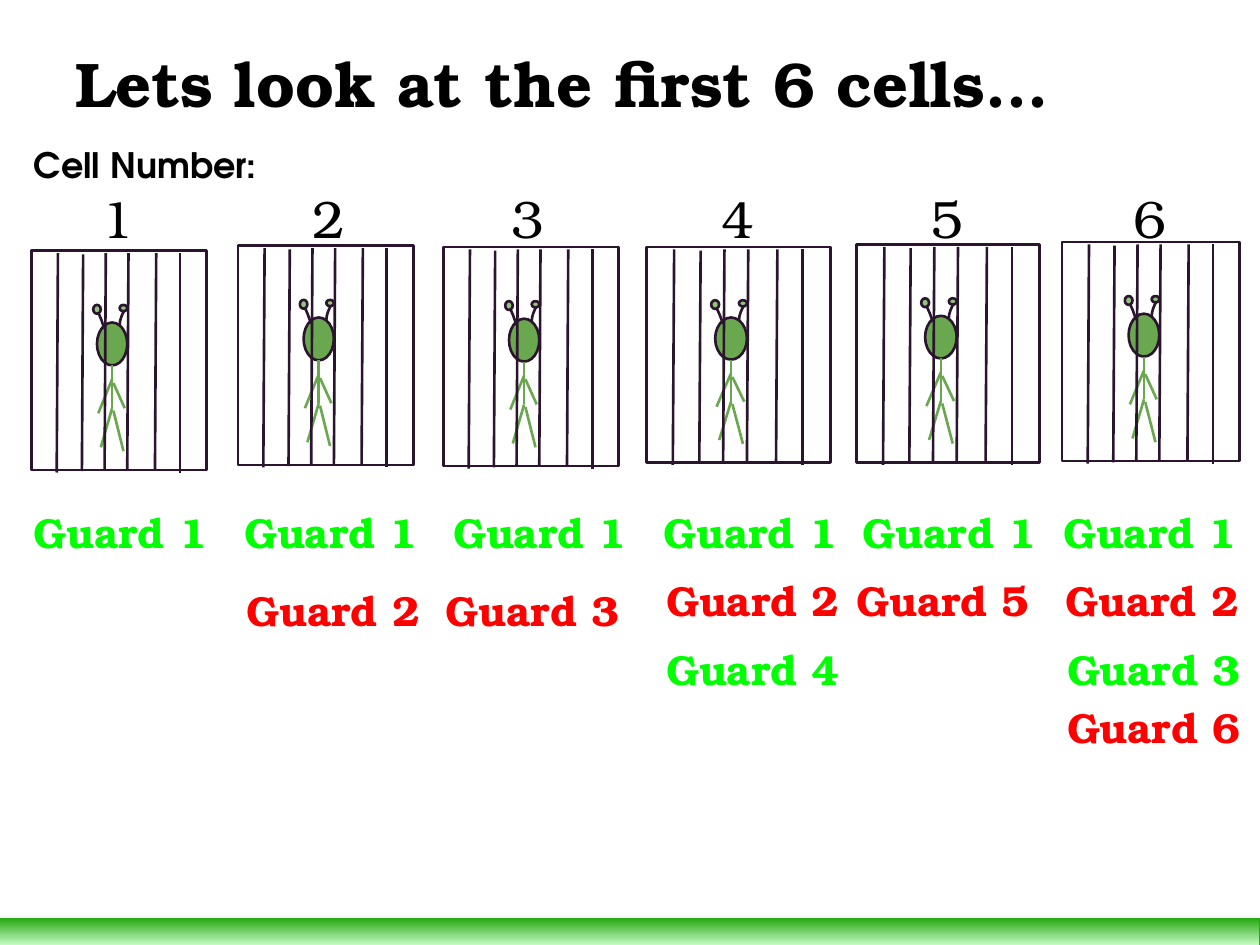
from lxml import etree
from pptx import Presentation
from pptx.dml.color import RGBColor
from pptx.enum.shapes import MSO_CONNECTOR as Connector, MSO_SHAPE as Shape
from pptx.enum.text import MSO_ANCHOR as Anchor, MSO_AUTO_SIZE as AutoSize, PP_ALIGN as Align
from pptx.oxml.ns import qn
from pptx.util import Inches, Pt

THEME = {
    "serif": "TeX Gyre Bonum",
    "sans": "TeX Gyre Adventor",
    "title": Pt(36),
    "number": Pt(30),
    "guard": Pt(24),
    "label": Pt(20),
    "black": RGBColor.from_string("000000"),
    "white": RGBColor.from_string("FFFFFF"),
    "ink": RGBColor.from_string("2B142D"),
    "skin": RGBColor.from_string("6AA84F"),
    "eye": RGBColor.from_string("93C47D"),
    "open": RGBColor.from_string("00FF00"),
    "shut": RGBColor.from_string("FF0000"),
    "footer": RGBColor.from_string("29A815"),
    "footer_light": RGBColor.from_string("CCFFCC"),
}

BASE_WIDTH, BASE_HEIGHT = 1.39, 1.74
CELLS = [
    (0.25, 1.99, 1.39, 1.74), (1.89, 1.95, 1.39, 1.74), (3.52, 1.96, 1.39, 1.74),
    (5.13, 1.96, 1.46, 1.71), (6.8, 1.94, 1.45, 1.73), (8.43, 1.92, 1.41, 1.74),
]
HEAD = (0.52, 0.57, 0.24, 0.34)
LIMBS = [
    (0.64, 0.91, 0.64, 1.25), (0.64, 1.25, 0.55, 1.56), (0.65, 1.27, 0.73, 1.59),
    (0.74, 1.25, 0.65, 1.05), (0.64, 1.02, 0.53, 1.29),
]
BARS = [
    (1.18, 0.02, 1.18, 1.76), (0.99, 0.02, 0.98, 1.74), (0.77, 0.02, 0.76, 1.74),
    (0.59, 0.02, 0.58, 1.74), (0.41, 0.03, 0.4, 1.75), (0.21, 0.02, 0.2, 1.76),
]
STALKS = [
    [(0.58, 0.62), (0.56, 0.57), (0.55, 0.52), (0.52, 0.48)],
    [(0.53, 0.45), (0.53, 0.45), (0.52, 0.47), (0.52, 0.47)],
    [(0.7, 0.59), (0.7, 0.55), (0.72, 0.5), (0.74, 0.47)],
]
EYES = [(0.49, 0.43, 0.06, 0.07), (0.7, 0.43, 0.06, 0.05)]

NUMBER_LEFTS = [0.71, 2.38, 3.96, 5.63, 7.29, 8.9]
GUARDS = [
    [(1, 0.17, 3.92)],
    [(1, 1.84, 3.92), (2, 1.86, 4.54)],
    [(1, 3.5, 3.92), (3, 3.44, 4.54)],
    [(1, 5.17, 3.92), (2, 5.19, 4.46), (4, 5.19, 5.01)],
    [(1, 6.75, 3.92), (5, 6.7, 4.46)],
    [(1, 8.34, 3.92), (2, 8.36, 4.46), (3, 8.37, 5.01), (6, 8.37, 5.47)],
]


def paint(shape, fill, line, width=1.5):
    shape.shadow.inherit = False
    if fill is None:
        shape.fill.background()
    else:
        shape.fill.solid()
        shape.fill.fore_color.rgb = fill
    shape.line.color.rgb = line
    shape.line.width = Pt(width)


def write(shape, text, size, color, bold=False, face="serif", anchor=Anchor.TOP):
    frame = shape.text_frame
    margins = {f"margin_{side}": Inches(0.1) for side in ("left", "top", "right", "bottom")}
    settings = {"word_wrap": True, "auto_size": AutoSize.NONE, "vertical_anchor": anchor, **margins}
    for name, value in settings.items():
        setattr(frame, name, value)
    paragraph = frame.paragraphs[0]
    paragraph.alignment = Align.LEFT
    run = paragraph.add_run()
    run.text = text
    for name, value in {"name": THEME[face], "size": THEME[size], "bold": bold}.items():
        setattr(run.font, name, value)
    run.font.color.rgb = THEME[color]


presentation = Presentation()
presentation.slide_width = Inches(10)
presentation.slide_height = Inches(7.5)
slide = presentation.slides.add_slide(presentation.slide_layouts[5])
shapes = slide.shapes

title = shapes.title
for name, value in {"left": 0.5, "top": -0.2, "width": 9, "height": 1.25}.items():
    setattr(title, name, Inches(value))
write(title, "Lets look at the first 6 cells...", "title", "black", True, anchor=Anchor.BOTTOM)

for left, top, width, height in CELLS:
    scale_x, scale_y = width / BASE_WIDTH, height / BASE_HEIGHT

    wall = shapes.add_shape(Shape.RECTANGLE, *map(Inches, (left, top, width, height)))
    paint(wall, THEME["white"], THEME["ink"])

    ovals = []
    for x, y, oval_width, oval_height in [HEAD, *EYES]:
        box = (left + x * scale_x, top + y * scale_y, oval_width * scale_x, oval_height * scale_y)
        ovals.append([Inches(value) for value in box])
    head = shapes.add_shape(Shape.OVAL, *ovals[0])
    paint(head, THEME["skin"], THEME["ink"])

    for strokes, color in ((LIMBS, "skin"), (BARS, "ink")):
        for x1, y1, x2, y2 in strokes:
            ends = (left + x1 * scale_x, top + y1 * scale_y, left + x2 * scale_x, top + y2 * scale_y)
            stroke = shapes.add_connector(Connector.STRAIGHT, *map(Inches, ends))
            stroke.line.color.rgb = THEME[color]
            stroke.line.width = Pt(1.5)
            etree.SubElement(stroke._element.spPr, qn("a:effectLst"))

    for index, controls in enumerate(STALKS):
        points = [(Inches(left + x * scale_x), Inches(top + y * scale_y)) for x, y in controls]
        builder = shapes.build_freeform(*points[0])
        builder.add_line_segments(points[1:], close=False)
        stalk = builder.convert_to_shape()
        segments = list(stalk._element.iter(qn("a:lnTo")))
        curve = etree.SubElement(segments[0].getparent(), qn("a:cubicBezTo"))
        for segment in segments:
            curve.append(segment[0])
            segment.getparent().remove(segment)
        paint(stalk, None, THEME["ink"])
        if index > 0:
            eye = shapes.add_shape(Shape.OVAL, *ovals[index])
            paint(eye, THEME["eye"], THEME["ink"])

for number, left in enumerate(NUMBER_LEFTS, 1):
    if number == 1:
        label = shapes.add_shape(Shape.RECTANGLE, *map(Inches, (left, 1.38, 0.67, 0.53)))
        paint(label, THEME["white"], THEME["white"], 0.75)
    else:
        label = shapes.add_textbox(*map(Inches, (left, 1.38, 0.61, 0.32)))
    write(label, str(number), "number", "black")

caption = shapes.add_textbox(*map(Inches, (0.17, 1.04, 2.84, 0.52)))
write(caption, "Cell Number:", "label", "black", True, face="sans")

for visits in GUARDS:
    for turn, (guard, left, top) in enumerate(visits):
        visit = shapes.add_textbox(*map(Inches, (left, top, 1.61, 0.54)))
        write(visit, f"Guard {guard}", "guard", ("open", "shut")[turn % 2], True)

footer = shapes.add_shape(Shape.RECTANGLE, *map(Inches, (-0.19, 7.29, 10.19, 0.22)))
paint(footer, THEME["footer"], THEME["footer"], 1)
footer.fill.gradient()
footer.fill.gradient_angle = 270
for stop, color, position in zip(footer.fill.gradient_stops, ("footer", "footer_light"), (0, 1)):
    stop.color.rgb = THEME[color]
    stop.position = position
effects = footer._element.spPr.find(qn("a:effectLst"))
shadow = etree.SubElement(
    effects, qn("a:outerShdw"), blurRad=str(Pt(5)), dist=str(Pt(2)), dir="5400000", rotWithShape="0"
)
shade = etree.SubElement(shadow, qn("a:srgbClr"), val="808080")
etree.SubElement(shade, qn("a:alpha"), val="75000")

presentation.save("out.pptx")
